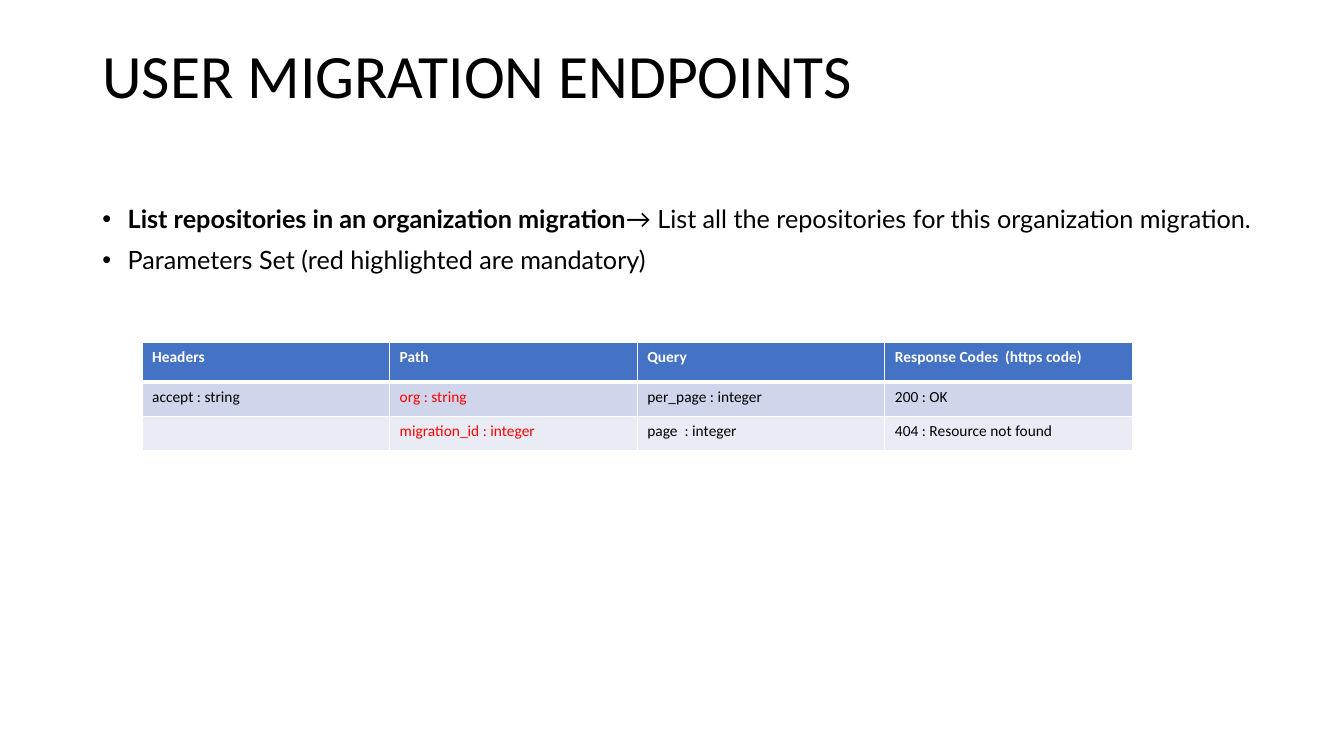
from lxml.etree import SubElement
from pptx import Presentation
from pptx.dml.color import RGBColor
from pptx.enum.text import MSO_ANCHOR
from pptx.oxml.ns import qn
from pptx.util import Cm, Pt

TITLE = "USER MIGRATION ENDPOINTS"
BULLETS = [
    [("List repositories in an organization migration", True),
     ("→ List all the repositories for this organization migration.", False)],
    [("Parameters Set (red highlighted are mandatory)", False)],
]
PARAMETERS = [
    ["Headers", "Path", "Query", "Response Codes  (https code)"],
    ["accept : string", "org : string", "per_page : integer", "200 : OK"],
    ["", "migration_id : integer", "page  : integer", "404 : Resource not found"],
]
MANDATORY = {"org : string", "migration_id : integer"}
COLORS = {"text": "000000", "mandatory": "FF0000", "white": "FFFFFF",
          "header": "4472C4", "odd": "CFD5EA", "even": "E9EBF5"}
ROW_FILLS = ["header", "odd", "even"]
ROW_HEIGHTS = [Cm(0.99), Cm(0.86), Cm(0.86)]
COLUMN_WIDTH = Cm(6.24)
LEFT = Cm(2.33)


def add_run(paragraph, text, size, font, color="text", bold=False):
    run = paragraph.add_run()
    run.text = text
    run.font.size = Pt(size)
    run.font.name = font
    run.font.bold = bold
    run.font.color.rgb = RGBColor.from_string(COLORS[color])


def add_frame(slide, top, width, height):
    frame = slide.shapes.add_textbox(LEFT, top, width, height).text_frame
    frame.word_wrap = True
    frame.vertical_anchor = MSO_ANCHOR.TOP
    return frame


def add_bullet(paragraph):
    properties = paragraph._p.get_or_add_pPr()
    properties.set("marL", str(Cm(0.64)))
    properties.set("indent", str(-Cm(0.64)))
    SubElement(properties, qn("a:buFont"), typeface="Arial")
    SubElement(properties, qn("a:buChar"), char="•")


def add_borders(cell, bottom):
    properties = cell._tc.get_or_add_tcPr()
    for side, width in (("L", 1), ("R", 1), ("T", 1), ("B", bottom)):
        line = SubElement(properties, qn(f"a:ln{side}"), w=str(Pt(width)))
        fill = SubElement(line, qn("a:solidFill"))
        SubElement(fill, qn("a:srgbClr"), val=COLORS["white"])


def add_parameters(slide):
    shape = slide.shapes.add_table(
        len(PARAMETERS), len(PARAMETERS[0]), Cm(3.58), Cm(8.64),
        COLUMN_WIDTH * len(PARAMETERS[0]), sum(ROW_HEIGHTS))
    table = shape.table
    table.horz_banding = False
    for column in table.columns:
        column.width = COLUMN_WIDTH
    for r, labels in enumerate(PARAMETERS):
        table.rows[r].height = ROW_HEIGHTS[r]
        header = r == 0
        for c, label in enumerate(labels):
            cell = table.cell(r, c)
            add_borders(cell, 3 if header else 1)
            cell.fill.solid()
            cell.fill.fore_color.rgb = RGBColor.from_string(COLORS[ROW_FILLS[r]])
            paragraph = cell.text_frame.paragraphs[0]
            if label:
                color = ("white" if header else
                         "mandatory" if label in MANDATORY else "text")
                add_run(paragraph, label, 11, "Calibri", color, header)
            else:
                SubElement(paragraph._p, qn("a:endParaRPr"), sz="1100")


def main():
    deck = Presentation()
    deck.slide_width, deck.slide_height = Cm(33.87), Cm(19.05)
    slide = deck.slides.add_slide(deck.slide_layouts[6])

    title = add_frame(slide, Cm(1.01), Cm(29.21), Cm(3.68)).paragraphs[0]
    title.line_spacing = 0.9
    add_run(title, TITLE, 44, "Calibri")

    body = add_frame(slide, Cm(5.08), Cm(29.82), Cm(13.82))
    for i, runs in enumerate(BULLETS):
        paragraph = body.add_paragraph() if i else body.paragraphs[0]
        add_bullet(paragraph)
        paragraph.line_spacing = 0.9
        paragraph.space_before = Pt(10 if i else 0)
        for text, bold in runs:
            add_run(paragraph, text, 18, "Lato", bold=bold)

    add_parameters(slide)
    deck.save("out.pptx")


if __name__ == "__main__":
    main()
